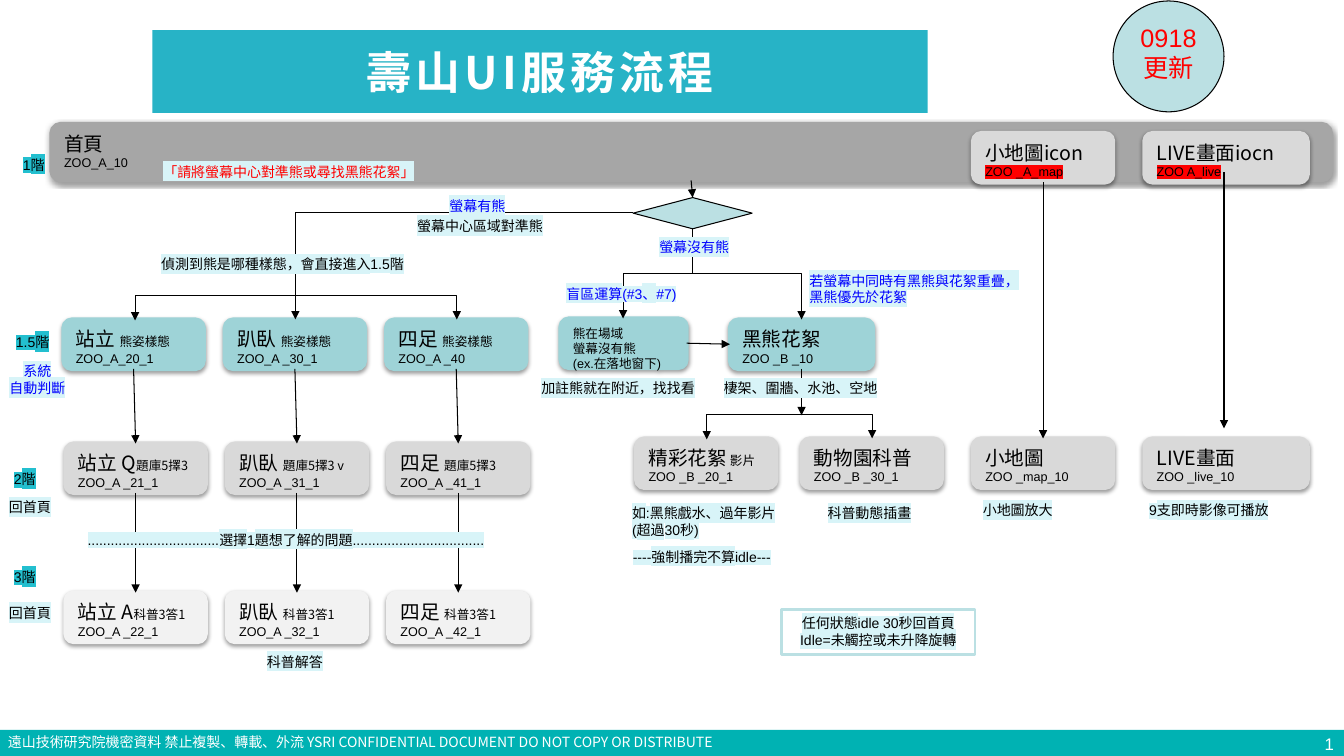
from dataclasses import dataclass

from lxml import etree
from pptx import Presentation
from pptx.dml.color import RGBColor
from pptx.enum.shapes import MSO_CONNECTOR, MSO_SHAPE
from pptx.enum.text import MSO_ANCHOR, PP_ALIGN
from pptx.oxml.ns import qn
from pptx.util import Inches, Pt

STRAIGHT, ELBOW = MSO_CONNECTOR.STRAIGHT, MSO_CONNECTOR.ELBOW
CARD, RECTANGLE = MSO_SHAPE.FLOWCHART_ALTERNATE_PROCESS, MSO_SHAPE.RECTANGLE
DECISION, OVAL = MSO_SHAPE.FLOWCHART_DECISION, MSO_SHAPE.OVAL
LEFT, CENTER, RIGHT = PP_ALIGN.LEFT, PP_ALIGN.CENTER, PP_ALIGN.RIGHT
TOP, MIDDLE = MSO_ANCHOR.TOP, MSO_ANCHOR.MIDDLE
TOP_SIDE, LEFT_SIDE, BOTTOM_SIDE, RIGHT_SIDE = range(4)


@dataclass(frozen=True)
class Theme:
    sans: str = "Noto Sans CJK SC"
    latin: str = "Arial"
    black: str = "000000"
    white: str = "FFFFFF"
    red: str = "FF0000"
    blue: str = "0000FF"
    banner: str = "27B3C6"
    footer: str = "00B2B3"
    home: str = "A6A6A6"
    grey: str = "D9D9D9"
    pale_grey: str = "F2F2F2"
    teal: str = "9ED3D7"
    pale_teal: str = "BBE0E3"
    note: str = "D8F4F8"
    stage: str = "23BFCF"
    title_size: int = 32
    badge_size: int = 18
    name_size: int = 14
    page_size: int = 12
    note_size: int = 10
    code_size: int = 9


theme = Theme()
# Run styles: font, size, colour, highlight
NAME = (theme.sans, theme.name_size, theme.black, None)
DETAIL = (theme.sans, theme.code_size, theme.black, None)
CODE = (theme.latin, theme.code_size, theme.black, None)
ALERT = (theme.latin, theme.code_size, theme.black, theme.red)
NOTE = (theme.latin, theme.note_size, theme.black, theme.note)
BLUE_NOTE = (theme.latin, theme.note_size, theme.blue, theme.note)
RED_NOTE = (theme.sans, theme.note_size, theme.red, theme.note)
STAGE = (theme.latin, theme.note_size, theme.black, theme.stage)
TITLE = (theme.sans, theme.title_size, theme.white, None)
BADGE = (theme.latin, theme.badge_size, theme.red, None)
FOOTER = (theme.sans, theme.note_size, theme.white, None)
PAGE = (theme.latin, theme.page_size, theme.white, None)


def write(shape, lines, align=LEFT, anchor=TOP):
    """Fill a shape with lines, each a list of (text, run style)."""
    frame = shape.text_frame
    frame.word_wrap = True
    frame.vertical_anchor = anchor
    for index, line in enumerate(lines):
        para = frame.paragraphs[0] if index == 0 else frame.add_paragraph()
        para.alignment = align
        for text, (font, size, color, highlight) in line:
            span = para.add_run()
            span.text = text
            span.font.size = Pt(size)
            span.font.color.rgb = RGBColor.from_string(color)
            span.font.name = font
            props = span.font._element
            if font == theme.sans:
                etree.SubElement(props, qn("a:ea"), typeface=font)
            if highlight:
                mark = etree.Element(qn("a:highlight"))
                etree.SubElement(mark, qn("a:srgbClr"), val=highlight)
                props.find(qn("a:solidFill")).addnext(mark)


def paint(shape, fill=None, line=None, width=0.75, ends=()):
    """Set fill, outline and arrowheads, and clear the default shadow."""
    if fill:
        shape.fill.solid()
        shape.fill.fore_color.rgb = RGBColor.from_string(fill)
    if line:
        shape.line.color.rgb = RGBColor.from_string(line)
        shape.line.width = Pt(width)
    else:
        shape.line.fill.background()
    for end in ends:
        etree.SubElement(shape.line._ln, qn(f"a:{end}"), type="triangle")
    return etree.SubElement(shape._element.spPr, qn("a:effectLst"))


deck = Presentation()
deck.slide_width, deck.slide_height = Inches(13.33), Inches(7.5)
page = deck.slides.add_slide(deck.slide_layouts[5])
shapes = page.shapes

# Title banner
title = shapes.title
title.left, title.top = Inches(1.51), Inches(0.3)
title.width, title.height = Inches(7.69), Inches(0.82)
outline = title._element.spPr
outline.xfrm.set("flipH", "1")
geometry = etree.SubElement(outline, qn("a:prstGeom"), prst="round2DiagRect")
guides = etree.SubElement(geometry, qn("a:avLst"))
for guide, value in (("adj1", 31600), ("adj2", 0)):
    etree.SubElement(guides, qn("a:gd"), name=guide, fmla=f"val {value}")
paint(title, theme.banner)
write(title, [[("壽山UI服務流程", TITLE)]], CENTER, MIDDLE)
title.text_frame.margin_left = title.text_frame.margin_right = 0
title.text_frame.margin_top = title.text_frame.margin_bottom = Inches(0.04)
heading = title.text_frame.paragraphs[0]
heading.space_before = Pt(6)
heading.runs[0].font.bold = True
heading.runs[0].font._element.set("spc", "300")

# Plain shapes: geometry, position, fill, outline, outline width, lines
plain = {}
for key, kind, place, fill, line, width, lines in (
    ("footer", RECTANGLE, (0, 7.24, 13.33, 0.26), theme.footer, None, 0, []),
    ("badge", OVAL, (11.04, 0.01, 1.1, 1.1), theme.pale_teal, theme.black, 0.75, [[("0918更新", BADGE)]]),
    ("idle", RECTANGLE, (7.75, 6.05, 1.92, 0.44), theme.white, theme.pale_teal, 2,
     [[("任何狀態idle 30秒回首頁", NOTE)], [("Idle=未觸控或未升降旋轉", NOTE)]]),
    ("decision", DECISION, (6.28, 1.96, 1.18, 0.31), theme.pale_teal, theme.black, 0.75, []),
):
    plain[key] = shapes.add_shape(kind, *map(Inches, place))
    paint(plain[key], fill, line, width)
    write(plain[key], lines, CENTER)

# Cards: key -> left, top, width, fill, lines
cards = {
    "home": (0.51, 1.23, 12.69, theme.home, [[("首頁", NAME)], [("ZOO_A_10", CODE)]]),
    "map icon": (9.65, 1.32, 1.39, theme.grey, [[("小地圖icon", NAME)], [("ZOO _A_map", ALERT)]]),
    "live icon": (11.35, 1.32, 1.62, theme.grey, [[("LIVE畫面iocn", NAME)], [("ZOO A_live", ALERT)]]),
    "map": (9.65, 4.35, 1.39, theme.grey, [[("小地圖", NAME)], [("ZOO _map_10", CODE)]]),
    "live": (11.35, 4.35, 1.62, theme.grey, [[("LIVE畫面", NAME)], [("ZOO _live_10", CODE)]]),
    "blind": (5.56, 3.16, 1.25, theme.teal,
              [[("熊在場域", CODE)], [("螢幕沒有熊", CODE)], [("(ex.在落地窗下)", CODE)]]),
    "clips": (7.24, 3.17, 1.42, theme.teal, [[("黑熊花絮", NAME)], [("ZOO _B _10", CODE)]]),
    "video": (6.31, 4.35, 1.39, theme.grey,
              [[("精彩花絮", NAME), (" 影片", DETAIL), ("ZOO _B _20_1", CODE)]]),
    "science": (7.95, 4.35, 1.39, theme.grey, [[("動物園科普", NAME), ("ZOO _B _30_1", CODE)]]),
}
poses = (
    (("站立 ", "ZOO_A_20_1"), ("站立 Q", "ZOO_A _21_1"), ("站立 A", "ZOO_A _22_1")),
    (("趴臥 ", "ZOO_A _30_1"), ("趴臥 ", "v ZOO_A _31_1"), ("趴臥 ", "ZOO_A _32_1")),
    (("四足 ", "ZOO_A _40"), ("四足 ", "ZOO_A _41_1"), ("四足 ", "ZOO_A _42_1")),
)
pose_rows = ((0.63, 3.17, theme.teal, "熊姿樣態"), (0.65, 4.4, theme.grey, "題庫5擇3 "),
             (0.65, 5.88, theme.pale_grey, "科普3答1 "))
for column, pose in enumerate(poses):
    for row, (left, top, fill, detail) in enumerate(pose_rows):
        name, code = pose[row]
        cards[column, row] = (left + 1.6 * column, top, 1.39, fill,
                              [[(name, NAME), (detail, DETAIL), (code, CODE)]])
boxes = {}
for key, (left, top, width, fill, lines) in cards.items():
    height = 0.56 if key == "home" else 0.49
    box = boxes[key] = shapes.add_shape(CARD, *map(Inches, (left, top, width, height)))
    effects = paint(box, fill, fill, 3)
    shadow = etree.SubElement(effects, qn("a:outerShdw"), blurRad=str(Pt(3.1)),
                              dist=str(Pt(1.6)), dir="5400000", rotWithShape="0")
    tint = etree.SubElement(shadow, qn("a:srgbClr"), val=theme.black)
    etree.SubElement(tint, qn("a:alpha"), val="38000")
    write(box, lines)

# Straight arrows, joined to the boxes they meet
down = [(boxes[column, row], boxes[column, row + 1]) for column in range(3) for row in range(2)]
down += [(boxes["map icon"], boxes["map"]), (boxes["home"], plain["decision"])]
joins = [(start, BOTTOM_SIDE, end, TOP_SIDE) for start, end in down]
joins.append((boxes["blind"], RIGHT_SIDE, boxes["clips"], LEFT_SIDE))
for start, start_side, end, end_side in joins:
    arrow = shapes.add_connector(STRAIGHT, 0, 0, 0, 0)
    arrow.begin_connect(start, start_side)
    arrow.end_connect(end, end_side)
    paint(arrow, line=theme.black, ends=["tailEnd"])
for x, start_y, end_y in ((7.95, 3.66, 4.12), (12.14, 1.71, 4.25)):
    arrow = shapes.add_connector(STRAIGHT, *map(Inches, (x, start_y, x, end_y)))
    if x == 7.95:
        arrow.begin_connect(boxes["clips"], BOTTOM_SIDE)
    paint(arrow, line=theme.black, ends=["tailEnd"])

# Elbows that leave vertically: start, end, height of the crossbar, arrowheads
for (x1, y1), (x2, y2), bar_y, ends in (
    ((1.34, 3.18), (4.53, 3.17), 2.93, ["headEnd", "tailEnd"]),
    ((7.01, 4.36), (8.65, 4.35), 4.11, ["headEnd", "tailEnd"]),
    ((6.87, 2.27), (6.18, 3.16), 2.71, ["tailEnd"]),
    ((6.87, 2.27), (7.95, 3.17), 2.71, ["tailEnd"]),
):
    across, along = abs(x2 - x1), abs(y2 - y1)
    left, top = (x1 + x2 - along) / 2, (y1 + y2 - across) / 2
    elbow = shapes.add_connector(ELBOW, *map(Inches, (left, top, left + along, top + across)))
    frame = elbow._element.spPr.xfrm
    frame.set("rot", "5400000")
    frame.set("flipH", str(int(y2 < y1)))
    frame.set("flipV", str(int(x2 > x1)))
    guides = elbow._element.spPr.find(qn("a:prstGeom")).find(qn("a:avLst"))
    turn = round((bar_y - y1) / (y2 - y1) * 100000)
    etree.SubElement(guides, qn("a:gd"), name="adj1", fmla=f"val {turn}")
    paint(elbow, line=theme.black, ends=ends)
corner = shapes.add_connector(ELBOW, *map(Inches, (6.28, 2.11, 2.93, 3.17)))
corner._element.spPr.find(qn("a:prstGeom")).set("prst", "bentConnector2")
paint(corner, line=theme.black, ends=["tailEnd"])

# Labels: left, top, width, style, alignment, lines
dots = "." * 34
for left, top, width, style, align, *lines in (
    (0.13, 1.5, 0.47, STAGE, LEFT, "1階"),
    (0.06, 3.26, 0.71, STAGE, LEFT, "1.5階"),
    (0.04, 4.62, 0.47, STAGE, LEFT, "2階"),
    (0.04, 5.59, 0.47, STAGE, LEFT, "3階"),
    (-0.03, 3.55, 0.8, BLUE_NOTE, CENTER, "系統", "自動判斷"),
    (-0.01, 4.9, 0.8, NOTE, LEFT, "回首頁"),
    (-0.01, 5.95, 0.8, NOTE, LEFT, "回首頁"),
    (1.39, 1.57, 2.95, RED_NOTE, CENTER, "「請將螢幕中心對準熊或尋找黑熊花絮」"),
    (4.36, 1.91, 2.8, BLUE_NOTE, LEFT, "螢幕有熊"),
    (4.04, 2.11, 1.84, NOTE, LEFT, "螢幕中心區域對準熊"),
    (1.5, 2.49, 3.01, NOTE, LEFT, "偵測到熊是哪種樣態，會直接進入1.5階"),
    (6.44, 2.32, 0.92, BLUE_NOTE, LEFT, "螢幕沒有熊"),
    (5.52, 2.78, 1.45, BLUE_NOTE, LEFT, "盲區運算(#3、#7)"),
    (7.93, 2.65, 2.43, BLUE_NOTE, LEFT, "若螢幕中同時有黑熊與花絮重疊，", "黑熊優先於花絮"),
    (5.27, 3.72, 1.91, NOTE, LEFT, "加註熊就在附近，找找看"),
    (7.08, 3.72, 1.91, NOTE, LEFT, "棲架、圍牆、水池、空地"),
    (6.17, 4.96, 1.92, NOTE, LEFT, "如:黑熊戲水、過年影片", "(超過30秒)"),
    (6, 5.39, 1.92, NOTE, CENTER, "----強制播完不算idle---"),
    (8.11, 4.96, 1.47, NOTE, LEFT, "科普動態插畫"),
    (9.65, 4.93, 1.47, NOTE, LEFT, "小地圖放大"),
    (11.3, 4.93, 1.47, NOTE, LEFT, "9支即時影像可播放"),
    (0.77, 5.22, 4.67, NOTE, LEFT, f"{dots}選擇1題想了解的問題{dots}"),
    (2.55, 6.43, 0.84, NOTE, LEFT, "科普解答"),
    (-0.02, 7.23, 10.38, FOOTER, LEFT,
     "遠山技術研究院機密資料 禁止複製、轉載、外流 YSRI CONFIDENTIAL DOCUMENT DO NOT COPY OR DISTRIBUTE"),
    (12.5, 7.24, 0.83, PAGE, RIGHT, "1"),
):
    height = 0.27 if len(lines) == 1 else 0.44
    label = shapes.add_textbox(*map(Inches, (left, top, width, height)))
    write(label, [[(text, style)] for text in lines], align, MIDDLE if style == PAGE else TOP)

deck.save("out.pptx")
